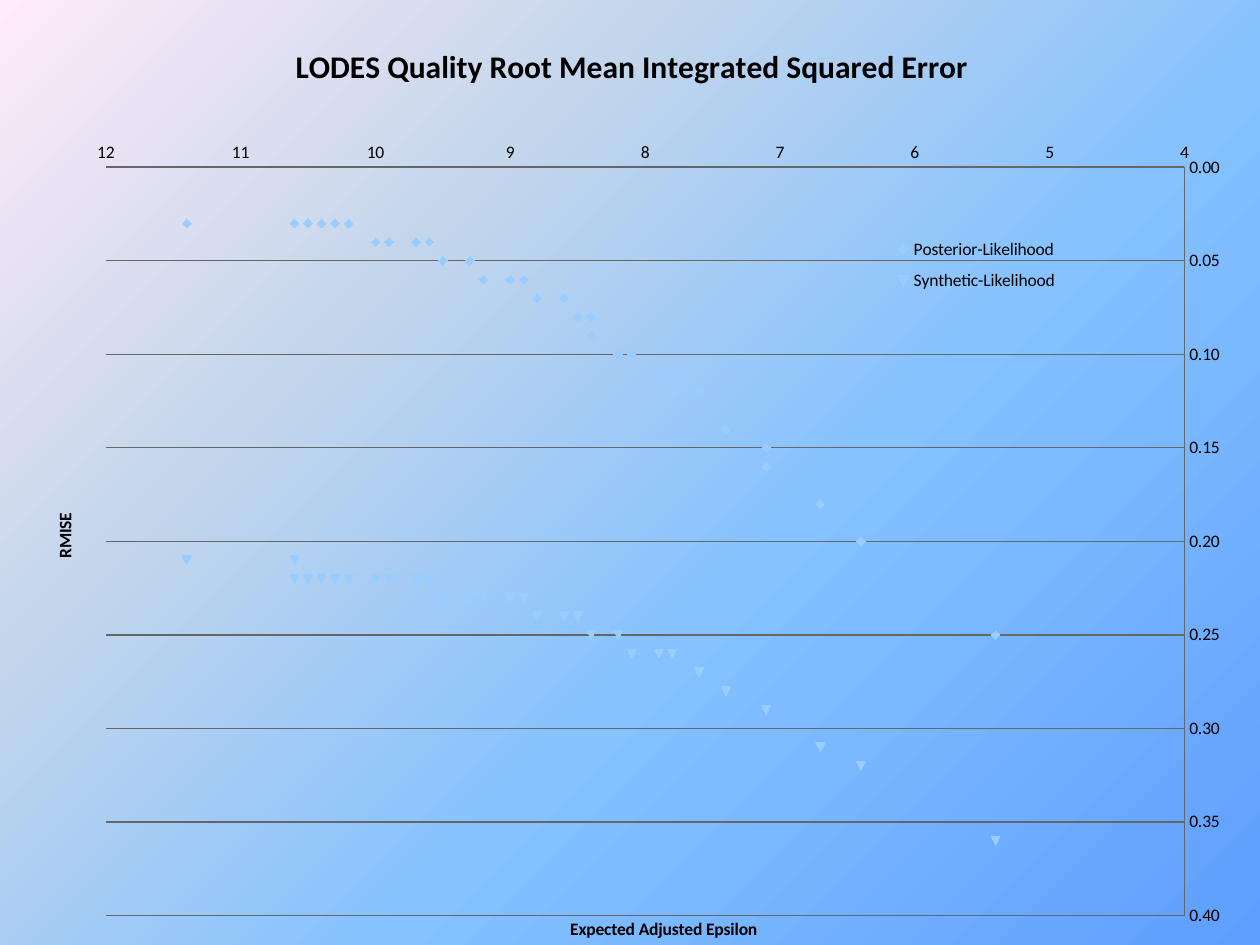
from dataclasses import dataclass

from lxml import etree
from pptx import Presentation
from pptx.chart import data
from pptx.dml.color import RGBColor
from pptx.enum import chart as kinds
from pptx.oxml import parse_xml
from pptx.oxml.ns import nsdecls, qn
from pptx.util import Cm, Pt

BLACK = RGBColor(0x00, 0x00, 0x00)
GREY = RGBColor(0x66, 0x66, 0x66)
SKY = RGBColor(0x99, 0xCC, 0xFF)
STOPS = [
    (0, RGBColor(0x5E, 0x9E, 0xFF)),
    (40, RGBColor(0x85, 0xC2, 0xFF)),
    (70, RGBColor(0xC4, 0xD6, 0xEB)),
    (100, RGBColor(0xFF, 0xEB, 0xFA)),
]
FONT = "Calibri"

EPSILON = [
    0, 5.4, 5.4, 6.4, 6.4, 6.7, 6.7, 7.1, 7.1, 7.4, 7.4, 7.6, 7.8, 7.8, 7.9,
    8.1, 8.1, 8.2, 8.4, 8.4, 8.5, 8.5, 8.6, 8.8, 8.8, 8.9, 9, 9, 9.2, 9.3,
    9.3, 9.5, 9.6, 9.6, 9.7, 9.9, 9.9, 10, 10.2, 10.2, 10.3, 10.4, 10.4,
    10.5, 10.6, 10.6, 11.4, 12.4, 13.4, 14.4,
]


@dataclass
class Series:
    name: str
    marker: kinds.XL_MARKER_STYLE
    errors: list[float]


@dataclass
class Scale:
    title: str
    low: float
    high: float
    step: float
    form: str
    grid: bool
    spot: tuple[float, float]


SERIES = [
    Series("Posterior-Likelihood", kinds.XL_MARKER_STYLE.DIAMOND, [
        0.25, 0.25, 0.25, 0.2, 0.2, 0.18, 0.18, 0.16, 0.15, 0.14, 0.14, 0.12,
        0.11, 0.12, 0.11, 0.1, 0.1, 0.1, 0.09, 0.08, 0.08, 0.08, 0.07, 0.07,
        0.07, 0.06, 0.06, 0.06, 0.06, 0.05, 0.05, 0.05] + [0.04] * 6 + [0.03] * 12),
    Series("Synthetic-Likelihood", kinds.XL_MARKER_STYLE.AUTOMATIC, [
        0.36, 0.36, 0.36, 0.32, 0.32, 0.31, 0.31, 0.29, 0.29, 0.28, 0.28, 0.27,
        0.26, 0.26, 0.26, 0.26, 0.26, 0.25, 0.25, 0.25] + [0.24] * 5
        + [0.23] * 7 + [0.22] * 12 + [0.21, 0.22] + [0.21] * 4),
]
ACROSS = Scale("Expected Adjusted Epsilon", 4, 12, 1, "General", False, (0.45, 0.97))
DOWN = Scale("RMISE", 0, 0.4, 0.05, "#,##0.00", True, (0.04, 0.54))


def write(frame, words: str, size: float = 10, bold: bool = True) -> None:
    """Put one formatted run into a text frame."""
    frame.text = ""
    run = frame.paragraphs[0].add_run()
    run.text = words
    run.font.name, run.font.size, run.font.bold = FONT, Pt(size), bold
    run.font.color.rgb = BLACK


def place(part, inner: bool = False, **spot: float) -> None:
    """Give a chart part a manual layout, in shares of the chart."""
    for old in part.findall(qn("c:layout")):
        part.remove(old)
    layout = parse_xml(f"<c:layout {nsdecls('c')}><c:manualLayout/></c:layout>")
    modes = {"layoutTarget": "inner"} if inner else {}
    modes |= {"xMode": "edge", "yMode": "edge"}
    for key, val in (modes | spot).items():
        etree.SubElement(layout[0], qn(f"c:{key}")).set("val", str(val))
    over = part.find(qn("c:overlay"))
    if over is None:
        part.insert(0, layout)
    else:
        over.addprevious(layout)


def paint(slide) -> None:
    """Fill the background with a gradient from the corner."""
    stops = "".join(
        f'<a:gs pos="{pos * 1000}"><a:srgbClr val="{rgb}"/></a:gs>' for pos, rgb in STOPS)
    slide.element.cSld.insert(0, parse_xml(
        f'<p:bg {nsdecls("p", "a")}><p:bgPr><a:gradFill rotWithShape="1">'
        f'<a:gsLst>{stops}</a:gsLst><a:path path="circle">'
        '<a:fillToRect l="100000" t="100000"/></a:path></a:gradFill>'
        "<a:effectLst/></p:bgPr></p:bg>"))


def ruler(axis, scale: Scale) -> None:
    """Set up one reversed axis with its title."""
    axis.minimum_scale, axis.maximum_scale = scale.low, scale.high
    axis.major_unit = scale.step
    axis.reverse_order = True
    axis.major_tick_mark = axis.minor_tick_mark = kinds.XL_TICK_MARK.NONE
    axis.tick_labels.number_format = scale.form
    axis.tick_labels.number_format_is_linked = False
    axis.has_major_gridlines = scale.grid
    lines = [axis.format.line]
    if scale.grid:
        lines.append(axis.major_gridlines.format.line)
    for line in lines:
        line.color.rgb, line.width = GREY, Pt(0.75)
    write(axis.axis_title.text_frame, scale.title)
    x, y = scale.spot
    place(axis.axis_title._element, x=x, y=y)


def plot(slide) -> None:
    """Draw the scatter chart."""
    table = data.XyChartData()
    for item in SERIES:
        row = table.add_series(item.name)
        for x, y in zip(EPSILON, item.errors):
            row.add_data_point(x, y)
    chart = slide.shapes.add_chart(
        kinds.XL_CHART_TYPE.XY_SCATTER, 0, Cm(0.03), Cm(25.4), Cm(19.02), table).chart
    chart.font.name, chart.font.size = FONT, Pt(10)
    chart.font.color.rgb = BLACK

    # Title and legend
    chart.has_title = True
    write(chart.chart_title.text_frame, "LODES Quality Root Mean Integrated Squared Error", 18)
    place(chart.chart_title._element, x=0.23, y=0.04)
    chart.has_legend = True
    chart.legend.position = kinds.XL_LEGEND_POSITION.RIGHT
    chart.legend.include_in_layout = False
    place(chart.legend._element, x=0.7, y=0.24, w=0.15, h=0.08)

    # Axes and plot area
    ruler(chart.category_axis, ACROSS)
    ruler(chart.value_axis, DOWN)
    chart.value_axis.axis_title.text_frame._txBody.bodyPr.set("rot", "-5400000")
    place(chart._chartSpace.chart.plotArea, True, x=0.084, y=0.176, w=0.856, h=0.795)

    # Markers
    chart.plots[0].vary_by_categories = False
    for line, item in zip(chart.plots[0].series, SERIES):
        line.smooth = False
        line.format.line.fill.background()
        line.marker.style, line.marker.size = item.marker, 5
        line.marker.format.fill.solid()
        line.marker.format.fill.fore_color.rgb = SKY
        line.marker.format.line.color.rgb = SKY


def main() -> None:
    deck = Presentation()
    deck.slide_width, deck.slide_height = Cm(25.4), Cm(19.05)
    slide = deck.slides.add_slide(deck.slide_layouts[6])
    paint(slide)
    plot(slide)
    deck.save("out.pptx")


if __name__ == "__main__":
    main()
